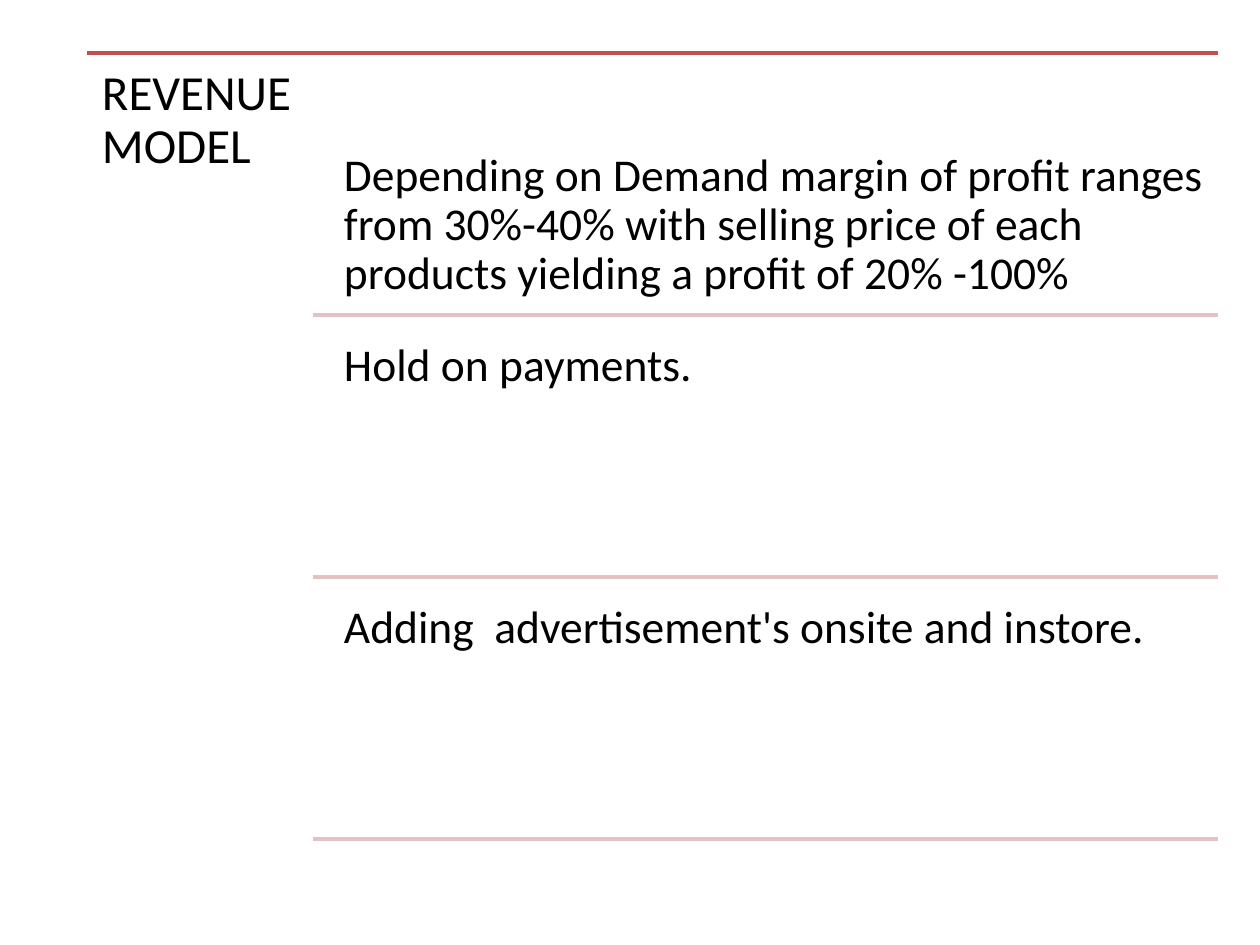
from lxml import etree
from pptx import Presentation
from pptx import util as u
from pptx.dml.color import RGBColor
from pptx.enum import shapes, text
from pptx.oxml.ns import qn

TITLE = "REVENUE MODEL"
# Each point with the extra space above its text, in px
POINTS = [
    ("Depending on Demand margin of profit ranges from 30%-40% with selling "
     "price of each products yielding a profit of 20% -100%", 72),
    ("Hold on payments.", 0),
    ("Adding  advertisement's onsite and instore.", 0),
]
COLORS = {"text": "000000", "top_rule": "C0504D", "point_rule": "E2C2C2"}

PX = 914400 // 126
LEFT, RIGHT, TOP = 87, 1218, 53
TITLE_W, TITLE_H = 227, 799
RULE_LEFT, POINT_LEFT = 313, 330
ROW_STEP, ROW_GAP, ROW_H = 262, 13, 249


def px(n):
    return u.Emu(n * PX)


def color(name):
    return RGBColor.from_string(COLORS[name])


def add_rule(slide, left, y, name):
    rule = slide.shapes.add_connector(
        shapes.MSO_CONNECTOR.STRAIGHT, px(left), px(y), px(RIGHT), px(y))
    rule.line.color.rgb = color(name)
    rule.line.width = u.Pt(2)
    etree.SubElement(rule._element.spPr, qn("a:effectLst"))


def write(shape, words, size, inset, space_above=0):
    frame = shape.text_frame
    frame.text = words
    paragraph = frame.paragraphs[0]
    formats = [
        (frame, {"word_wrap": True, "auto_size": text.MSO_AUTO_SIZE.NONE,
                 "vertical_anchor": text.MSO_ANCHOR.TOP,
                 "margin_left": px(inset), "margin_right": px(inset),
                 "margin_top": px(inset + space_above),
                 "margin_bottom": px(inset)}),
        (paragraph, {"alignment": text.PP_ALIGN.LEFT, "line_spacing": 0.9}),
        (paragraph.runs[0].font, {"name": "Calibri", "size": u.Pt(size)}),
    ]
    for target, values in formats:
        for key, value in values.items():
            setattr(target, key, value)
    paragraph.runs[0].font.color.rgb = color("text")


def main():
    deck = Presentation()
    deck.slide_width, deck.slide_height = u.Inches(10), u.Inches(7.5)
    slide = deck.slides.add_slide(deck.slide_layouts[5])

    title = slide.shapes.title
    title.left, title.top = px(LEFT), px(TOP)
    title.width, title.height = px(TITLE_W), px(TITLE_H)
    write(title, TITLE, 28, 15)
    add_rule(slide, LEFT, TOP, "top_rule")

    for row, (words, space_above) in enumerate(POINTS):
        top = TOP + row * ROW_STEP + ROW_GAP
        point = slide.shapes.add_textbox(
            px(POINT_LEFT), px(top), px(RIGHT - POINT_LEFT), px(ROW_H))
        write(point, words, 26, 14, space_above)
        add_rule(slide, RULE_LEFT, top + ROW_H, "point_rule")

    deck.save("out.pptx")


if __name__ == "__main__":
    main()
